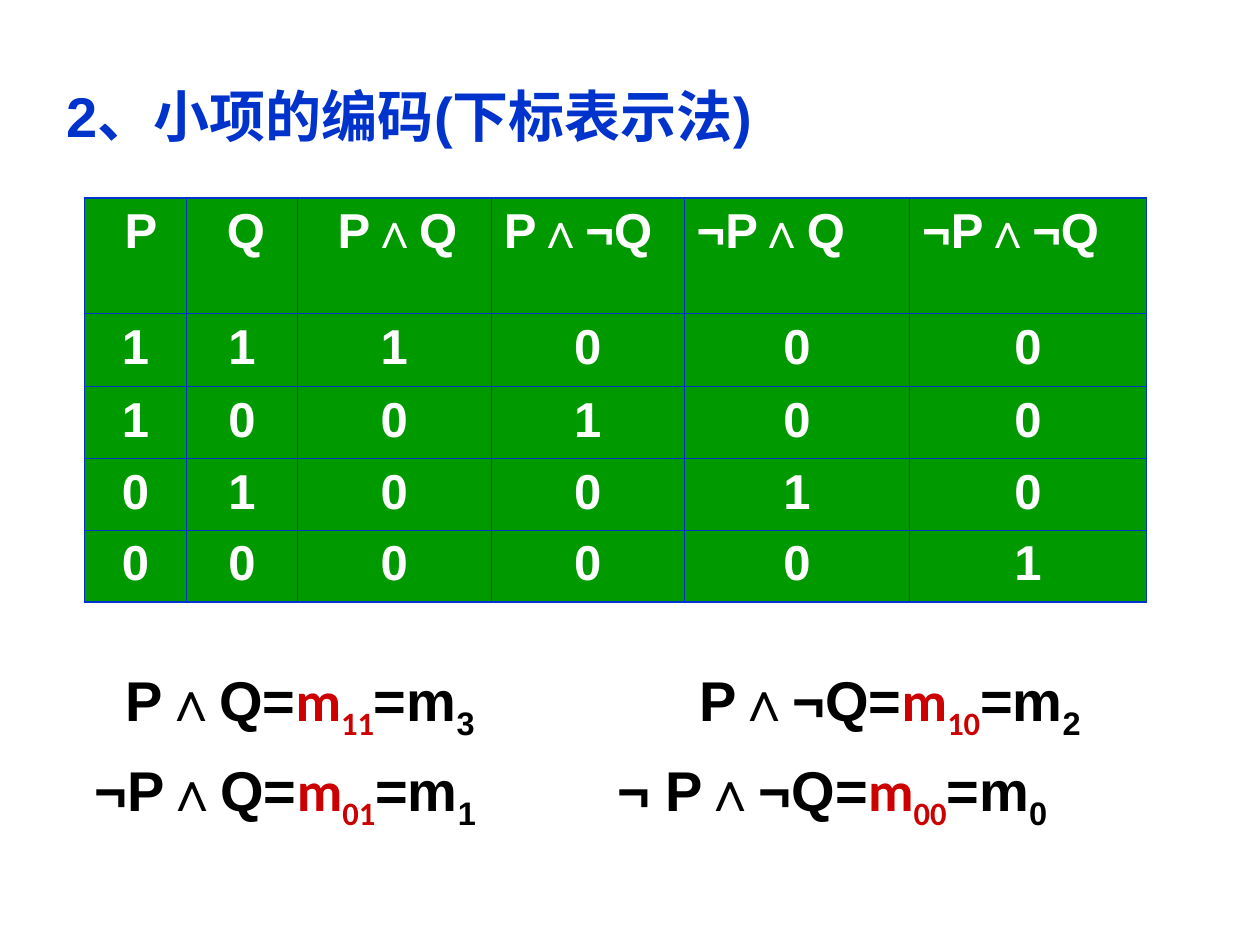
from lxml import etree
from pptx import Presentation
from pptx.dml.color import RGBColor
from pptx.enum.text import PP_ALIGN
from pptx.oxml.ns import qn
from pptx.util import Inches, Pt

BLUE = RGBColor(0x00, 0x33, 0xCC)
GREEN = RGBColor(0x00, 0x99, 0x00)
RED = RGBColor(0xCC, 0x00, 0x00)
WHITE = RGBColor(0xFF, 0xFF, 0xFF)
BLACK = RGBColor(0x00, 0x00, 0x00)

TITLE = "2、小项的编码(下标表示法)"
TRUTH_TABLE = [
    ["P", "Q", "P∧Q", "P∧¬Q", "¬P∧Q", "¬P∧¬Q"],
    ["1", "1", "1", "0", "0", "0"],
    ["1", "0", "0", "1", "0", "0"],
    ["0", "1", "0", "0", "1", "0"],
    ["0", "0", "0", "0", "0", "1"],
]
COLUMN_WIDTHS = [0.81, 0.88, 1.54, 1.53, 1.79, 1.88]
ROW_HEIGHTS = [0.92, 0.58, 0.57, 0.57, 0.57]
INDENTED_HEADERS = 3
HEADER_INDENT = 0.22

# Left indent, tab stop, then (minterm, binary code, decimal code) pairs
FORMULA_LINES = [
    (0.25, 4.55, [("P∧Q", "11", "3"), ("P∧¬Q", "10", "2")]),
    (0, 4.15, [("¬P∧Q", "01", "1"), ("¬ P∧¬Q", "00", "0")]),
]


def style(font, size, color, name="Arial"):
    font.name, font.size, font.bold = name, Pt(size), True
    font.color.rgb = color


def add_text_frame(slide, left, top, width, height):
    box = slide.shapes.add_textbox(Inches(left), Inches(top), Inches(width), Inches(height))
    box.text_frame.word_wrap = True
    return box.text_frame


def set_borders(cell, widths):
    """Draw cell borders; widths maps the side letters L, R, T, B to points."""
    properties = cell._tc.get_or_add_tcPr()
    for side, width in widths.items():
        line = etree.SubElement(properties, qn(f"a:ln{side}"), w=str(Pt(width)))
        fill = etree.SubElement(line, qn("a:solidFill"))
        etree.SubElement(fill, qn("a:srgbClr"), val=str(BLUE))


def add_truth_table(slide):
    row_count, column_count = len(TRUTH_TABLE), len(COLUMN_WIDTHS)
    table = slide.shapes.add_table(
        row_count, column_count, Inches(0.67), Inches(1.57),
        Inches(sum(COLUMN_WIDTHS)), Inches(sum(ROW_HEIGHTS))).table
    table.first_row = table.horz_banding = False
    for column, width in zip(table.columns, COLUMN_WIDTHS):
        column.width = Inches(width)
    for row, height in zip(table.rows, ROW_HEIGHTS):
        row.height = Inches(height)
    for r, values in enumerate(TRUTH_TABLE):
        for c, value in enumerate(values):
            cell = table.cell(r, c)
            outer = {"L": c == 0, "R": c == column_count - 1,
                     "T": r == 0, "B": r == row_count - 1}
            set_borders(cell, {side: 1.08 if edge else 0.45 for side, edge in outer.items()})
            cell.fill.solid()
            cell.fill.fore_color.rgb = GREEN
            cell.text = value
            paragraph = cell.text_frame.paragraphs[0]
            style(paragraph.font, 28, WHITE)
            if r > 0:
                paragraph.alignment = PP_ALIGN.CENTER
            elif c < INDENTED_HEADERS:
                cell.margin_left = Inches(0.1 + HEADER_INDENT)


def add_formula(paragraph, minterm, binary, decimal):
    parts = [(f"{minterm}=", BLACK, "Arial", False), ("m", RED, "Calibri", False),
             (binary, RED, "Calibri", True), ("=m", BLACK, "Arial", False),
             (decimal, BLACK, "Arial", True)]
    for content, color, name, subscript in parts:
        run = paragraph.add_run()
        run.text = content
        style(run.font, 32, color, name)
        if subscript:
            run._r.get_or_add_rPr().set("baseline", "-25000")


def add_formulas(slide):
    frame = add_text_frame(slide, 0.65, 5.23, 8.92, 1.59)
    for index, (indent, tab, formulas) in enumerate(FORMULA_LINES):
        paragraph = frame.add_paragraph() if index else frame.paragraphs[0]
        if index:
            paragraph.space_before = Pt(8)
        properties = paragraph._p.get_or_add_pPr()
        properties.set("marL", str(Inches(indent)))
        tabs = etree.SubElement(properties, qn("a:tabLst"))
        etree.SubElement(tabs, qn("a:tab"), pos=str(Inches(tab)), algn="l")
        first, second = formulas
        add_formula(paragraph, *first)
        paragraph.add_run().text = "\t"
        add_formula(paragraph, *second)


def main():
    presentation = Presentation()
    presentation.slide_width, presentation.slide_height = Inches(10), Inches(7.5)
    slide = presentation.slides.add_slide(presentation.slide_layouts[6])
    title = add_text_frame(slide, 0.43, 0.6, 8.11, 0.64).paragraphs[0]
    title.text = TITLE
    style(title.font, 32, BLUE)
    add_truth_table(slide)
    add_formulas(slide)
    presentation.save("out.pptx")


if __name__ == "__main__":
    main()
